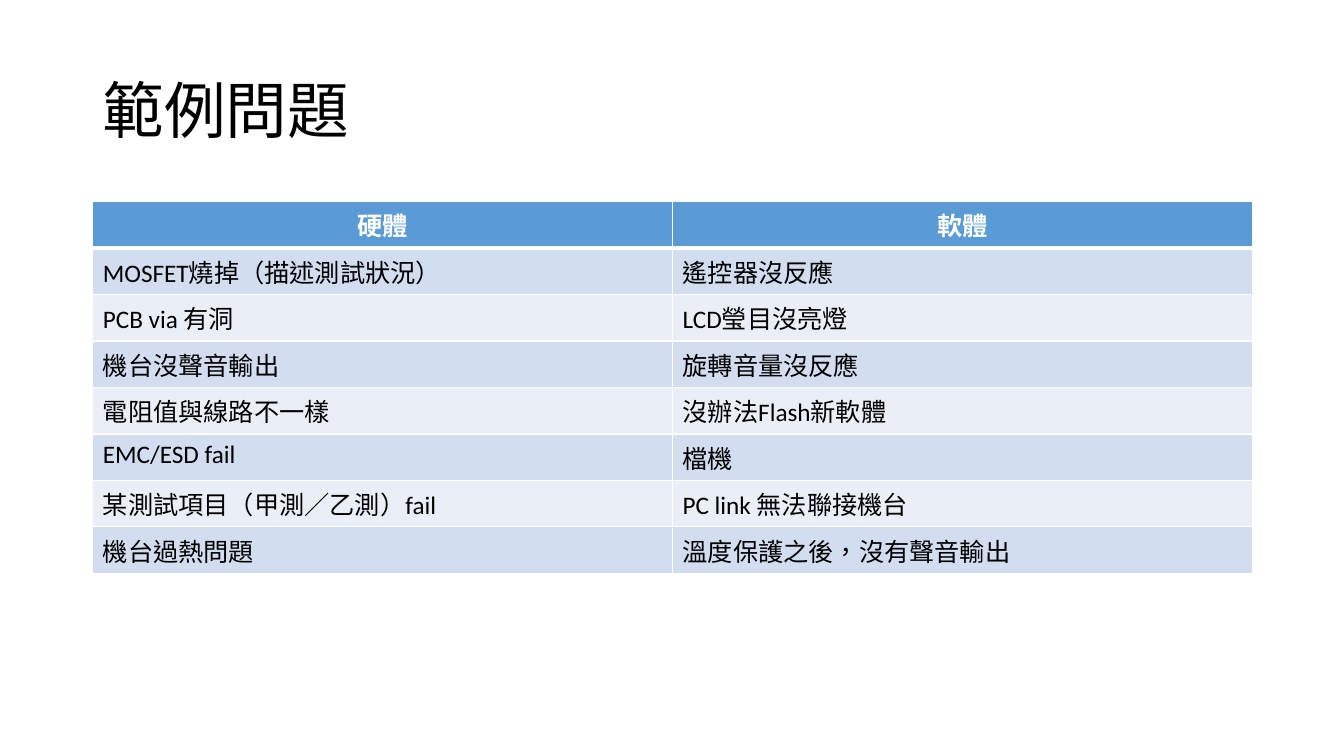
from dataclasses import dataclass

from lxml import etree
from pptx import Presentation
from pptx.dml.color import RGBColor
from pptx.enum.text import MSO_ANCHOR, PP_ALIGN
from pptx.oxml.ns import qn
from pptx.util import Inches, Pt

MIDDLE = MSO_ANCHOR.MIDDLE
CENTER = PP_ALIGN.CENTER
LEFT = PP_ALIGN.LEFT


@dataclass(frozen=True)
class Theme:
    font: str = "Calibri"
    lang: str = "zh-TW"
    title: int = 44
    body: int = 18
    ink: str = "000000"
    white: str = "FFFFFF"
    head: str = "5B9BD5"
    bands: tuple = ("EAEFF7", "D2DEEF")


THEME = Theme()

ISSUES = [
    ("硬體", "軟體"),
    ("MOSFET燒掉（描述測試狀況）", "遙控器沒反應"),
    ("PCB via 有洞", "LCD瑩目沒亮燈"),
    ("機台沒聲音輸出", "旋轉音量沒反應"),
    ("電阻值與線路不一樣", "沒辦法Flash新軟體"),
    ("EMC/ESD fail", "檔機"),
    ("某測試項目（甲測／乙測）fail", "PC link 無法聯接機台"),
    ("機台過熱問題", "溫度保護之後，沒有聲音輸出"),
]


def write(para, text, size, color, bold=False):
    para.text = text
    font = para.font
    font.name = THEME.font
    font.size = Pt(size)
    font.bold = bold
    font.color.rgb = RGBColor.from_string(color)
    for run in para.runs:
        run._r.get_or_add_rPr().set("lang", THEME.lang)


def add_title(slide, text, left, top, width, height):
    box = slide.shapes.add_textbox(
        Inches(left), Inches(top), Inches(width), Inches(height))
    frame = box.text_frame
    frame.word_wrap = True
    frame.vertical_anchor = MIDDLE
    para = frame.paragraphs[0]
    para.line_spacing = 0.9
    write(para, text, THEME.title, THEME.ink)


def add_edges(cell, widths):
    props = cell._tc.get_or_add_tcPr()
    for side, width in widths.items():
        line = etree.SubElement(props, qn(f"a:ln{side}"), w=str(Pt(width)))
        fill = etree.SubElement(line, qn("a:solidFill"))
        etree.SubElement(fill, qn("a:srgbClr"), val=THEME.white)


def add_issues(slide, rows, left, top, width, height):
    table = slide.shapes.add_table(
        len(rows), len(rows[0]), Inches(left), Inches(top),
        Inches(width), Inches(height)).table
    for i, row in enumerate(rows):
        head = i == 0
        shade = THEME.head if head else THEME.bands[i % 2]
        edges = {"L": 1, "R": 1, "T": 3 if i == 1 else 1, "B": 3 if head else 1}
        for j, text in enumerate(row):
            cell = table.cell(i, j)
            add_edges(cell, edges)
            cell.fill.solid()
            cell.fill.fore_color.rgb = RGBColor.from_string(shade)
            para = cell.text_frame.paragraphs[0]
            para.alignment = CENTER if head else LEFT
            write(para, text, THEME.body, THEME.white if head else THEME.ink, head)


def main():
    deck = Presentation()
    deck.slide_width = Inches(13.33)
    deck.slide_height = Inches(7.5)
    slide = deck.slides.add_slide(deck.slide_layouts[6])
    add_title(slide, "範例問題", 0.92, 0.4, 11.5, 1.45)
    add_issues(slide, ISSUES, 0.92, 2, 11.5, 3.69)
    deck.save("out.pptx")


if __name__ == "__main__":
    main()
